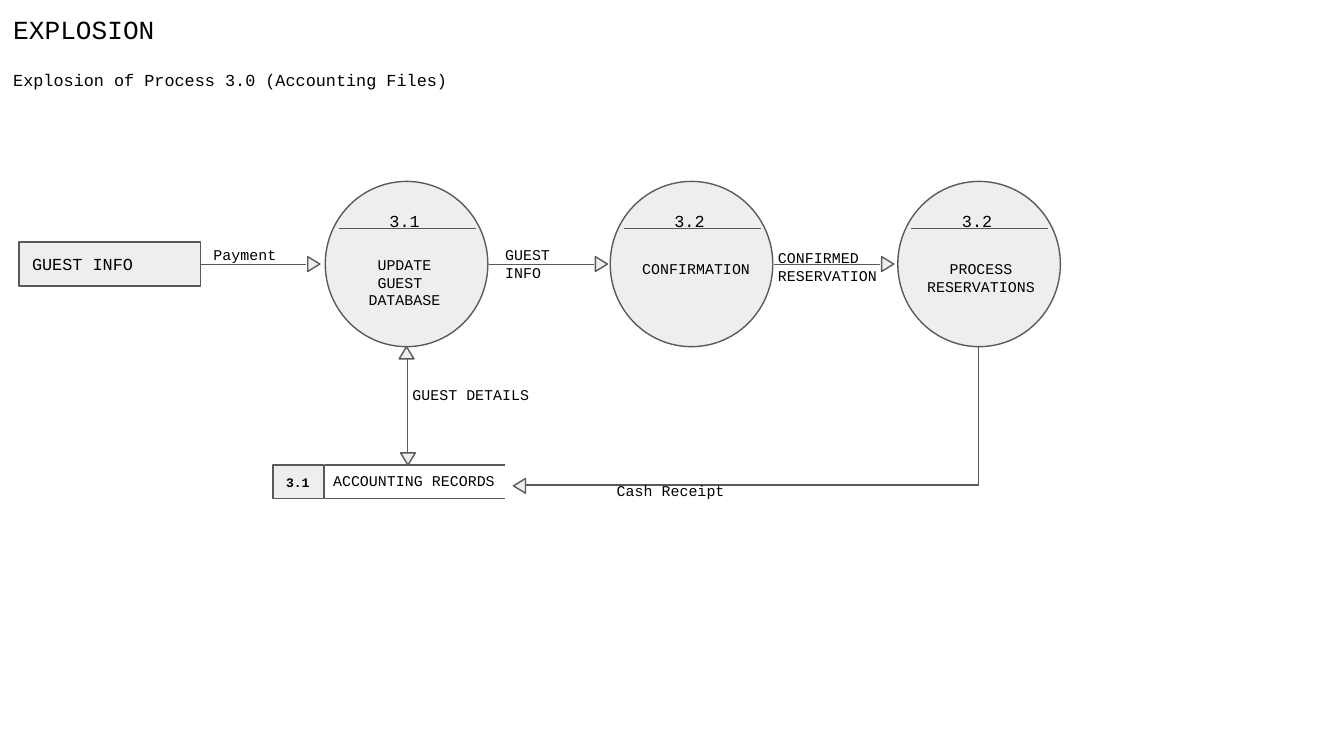
import pptx
import pptx.util
import pptx.dml.color
import pptx.enum.shapes
import pptx.enum.text
import pptx.oxml

Inches = pptx.util.Inches
Shape = pptx.enum.shapes.MSO_SHAPE
Link = pptx.enum.shapes.MSO_CONNECTOR
Align = pptx.enum.text.PP_ALIGN
Anchor = pptx.enum.text.MSO_ANCHOR

theme = {
    "font": "Courier New",
    "ink": "000000", "fill": "EEEEEE", "line": "595959",
    "width": 0.75,
    "head": 14, "body": 9, "label": 8, "tag": 7,
}
frame = {"word_wrap": True, "auto_size": pptx.enum.text.MSO_AUTO_SIZE.NONE}
frame.update({f"margin_{side}": Inches(0.1) for side in ("left", "right", "top", "bottom")})

title = ["EXPLOSION", "Explosion of Process 3.0 (Accounting Files)"]
steps = [
    (2.42, "3.1", ["UPDATE", "GUEST ", "DATABASE"], 1.8, 1.02),
    (4.54, "3.2", ["CONFIRMATION"], 1.83, 1.12),
    (6.68, "3.2", ["PROCESS", "RESERVATIONS"], 1.83, 1.08),
]
boxes = [
    ((0.14, 1.8, 1.35, 0.33), "GUEST INFO", "body", False),
    ((2.03, 3.46, 0.38, 0.25), "3.1", "tag", True),
]
labels = [
    ((2.38, 3.41, 1.98, 0.4), ["ACCOUNTING RECORDS"]),
    ((1.49, 1.73, 1.16, 0.21), ["Payment"]),
    ((3.66, 1.73, 0.85, 0.48), ["GUEST INFO"]),
    ((5.69, 1.75, 1.12, 0.78), ["CONFIRMED", "RESERVATION"]),
    ((4.49, 3.54, 2.22, 0.09), ["Cash Receipt"]),
    ((2.97, 2.77, 1.35, 0.25), ["GUEST DETAILS"]),
]
flows = [(1.49, 2.28), (3.64, 4.42), (5.76, 6.55)]
flow_y = 1.97
store_x, store_end, store_rows = 2.42, 3.76, (3.46, 3.71)
disc_top, disc_w, disc_h = 1.35, 1.21, 1.23
head_w, head_h = 0.11, 0.09
turns = [(2.97, 2.58, 0), (2.98, 3.37, 180), (3.81, 3.57, 270)]

deck = pptx.Presentation()
deck.slide_width = Inches(10)
deck.slide_height = Inches(10) * 9 // 16
slide = deck.slides.add_slide(deck.slide_layouts[6])
parts = slide.shapes


def color(name):
    return pptx.dml.color.RGBColor.from_string(theme[name])


def apply(item, values):
    for name, value in values.items():
        setattr(item, name, value)


def write(shape, lines, sizes, align=Align.LEFT, anchor=Anchor.TOP, bold=False, gap=0):
    text = shape.text_frame
    apply(text, {**frame, "vertical_anchor": anchor})
    for i, line in enumerate(lines):
        para = text.add_paragraph() if i else text.paragraphs[0]
        apply(para, {"alignment": align, "space_before": pptx.util.Pt(gap if i else 0)})
        run = para.add_run()
        run.text = line
        size = theme[sizes[min(i, len(sizes) - 1)]]
        apply(run.font, {"name": theme["font"], "size": pptx.util.Pt(size), "bold": bold})
        run.font.color.rgb = color("ink")


def stroke(item):
    item.line.color.rgb = color("line")
    item.line.width = pptx.util.Pt(theme["width"])


def solid(kind, spot, turn=0):
    shape = parts.add_shape(kind, *map(Inches, spot))
    shape.shadow.inherit = False
    shape.rotation = turn
    shape.fill.solid()
    shape.fill.fore_color.rgb = color("fill")
    stroke(shape)
    return shape


def note(spot, lines, sizes=("label",), **rest):
    write(parts.add_textbox(*map(Inches, spot)), lines, sizes, **rest)


def rule(*ends, kind=Link.STRAIGHT):
    line = parts.add_connector(kind, *map(Inches, ends))
    stroke(line)
    props = line.element.spPr
    props.append(pptx.oxml.parse_xml(
        '<a:effectLst xmlns:a="http://schemas.openxmlformats.org/drawingml/2006/main"/>'))
    return line


for left, code, lines, top, wide in steps:
    solid(Shape.OVAL, (left, disc_top, disc_w, disc_h))
    note((left + 0.08, top, wide, 0.43), lines, align=Align.CENTER)
    rule(left + 0.1, 1.7, left + 1.12, 1.7)
    note((left + 0.35, 1.47, 0.48, 0.21), [code], ("body",), align=Align.CENTER)

note((0, 0, 3.55, 0.95), title, ("head", "body"), gap=13.5)

for spot, words, size, bold in boxes:
    write(solid(Shape.RECTANGLE, spot), [words], (size,), anchor=Anchor.MIDDLE, bold=bold)

for start, end in flows:
    rule(start, flow_y, end, flow_y)
    turns.append((end, 1.92, 90))

for y in store_rows:
    rule(store_x, y, store_end, y)

rule(3.03, 3.37, 3.03, 2.67)
bend = rule(3.91, 3.61, 7.28, 2.58, kind=Link.ELBOW)
bend.element.spPr.prstGeom.set("prst", "bentConnector2")

for left, top, turn in turns:
    solid(Shape.ISOSCELES_TRIANGLE, (left, top, head_w, head_h), turn)

for spot, lines in labels:
    note(spot, lines)

deck.save("out.pptx")
